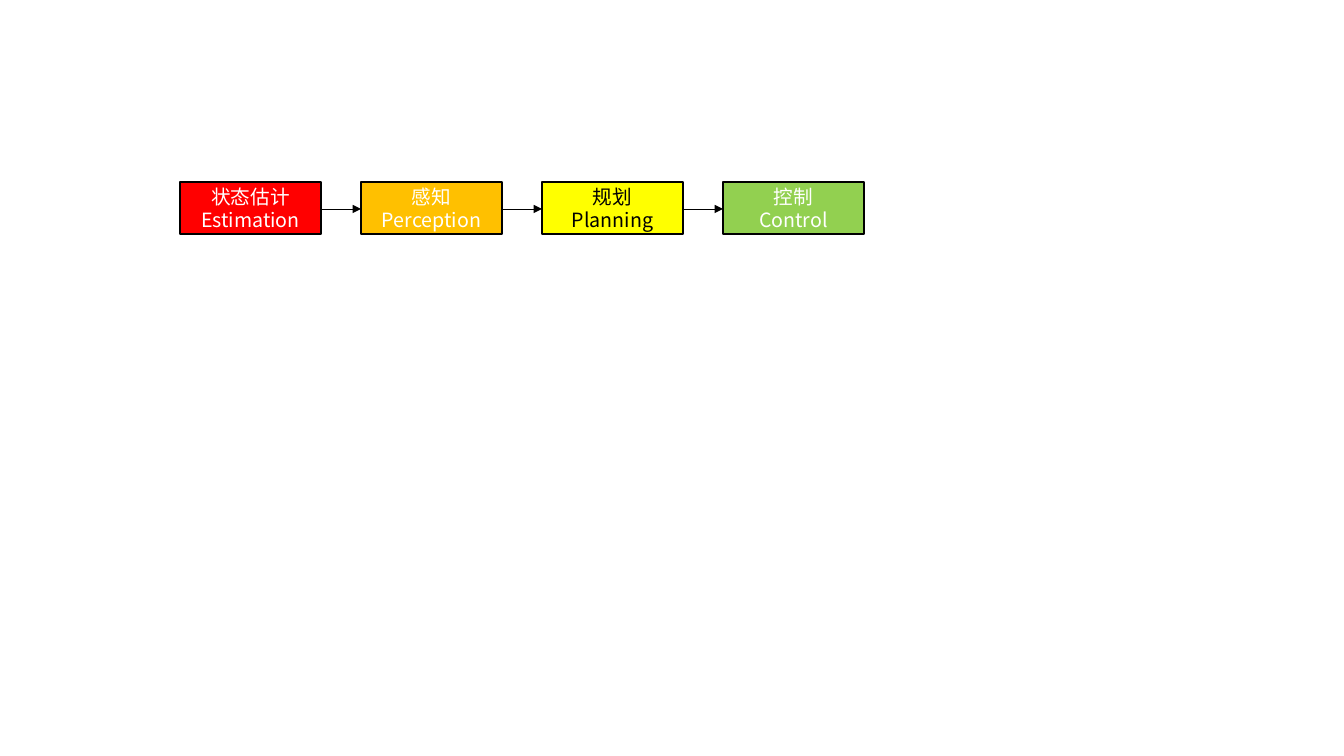
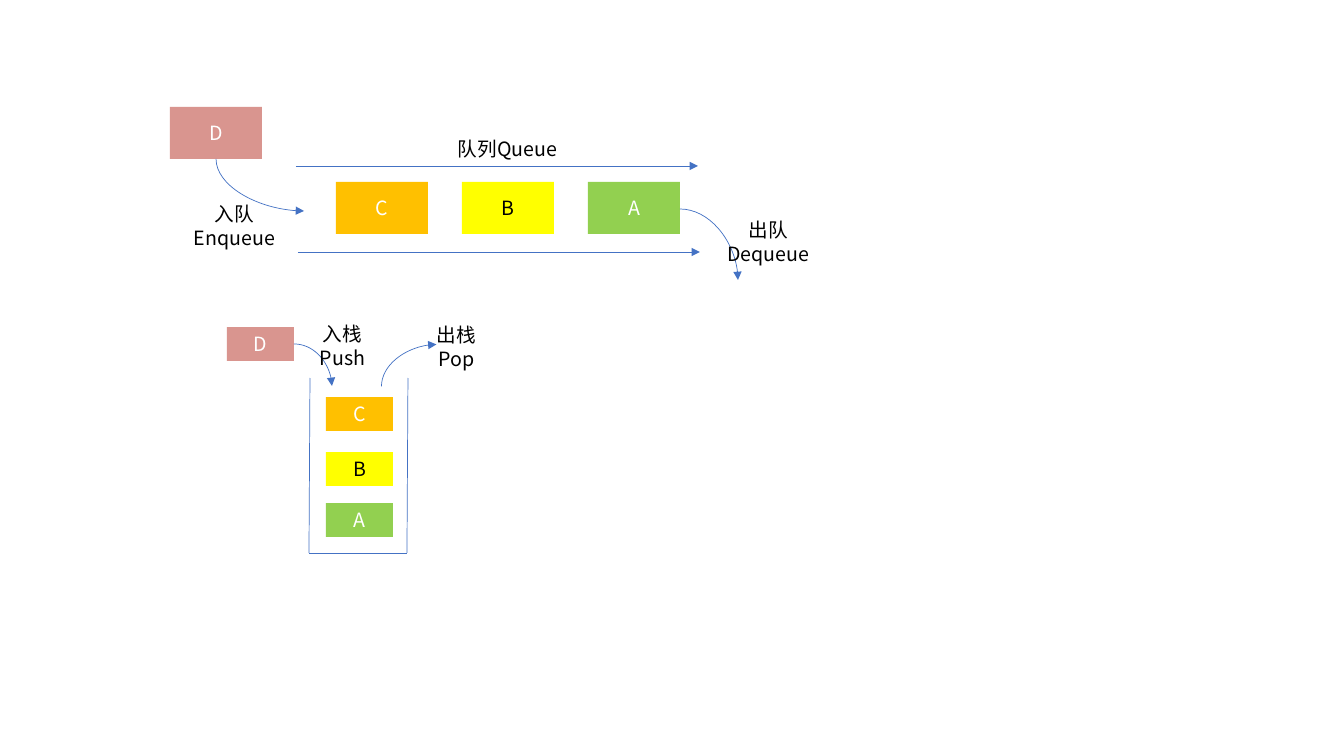
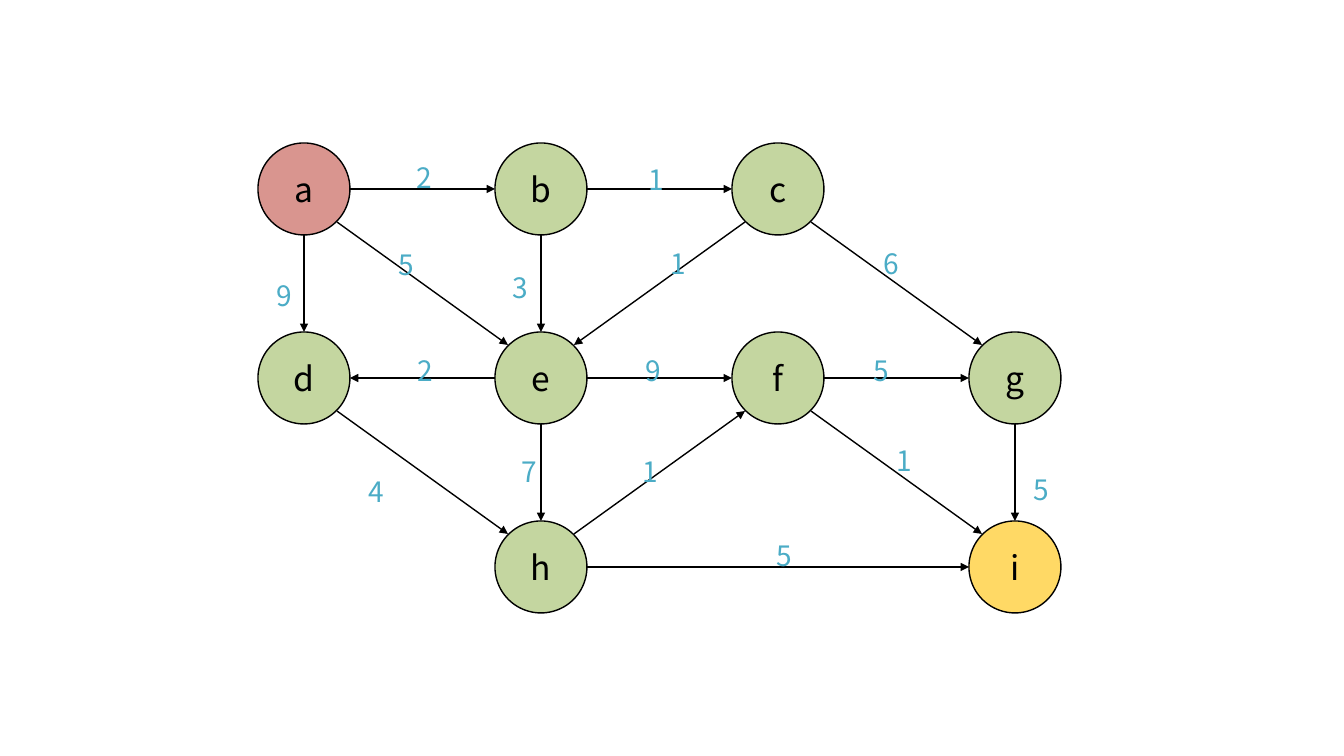
from math import cos, pi

from lxml.etree import SubElement
from pptx import Presentation
from pptx.dml.color import RGBColor
from pptx.enum.shapes import MSO_CONNECTOR, MSO_SHAPE
from pptx.enum.text import MSO_ANCHOR, MSO_AUTO_SIZE, PP_ALIGN
from pptx.oxml.ns import qn
from pptx.util import Emu, Pt

FONT = "Noto Sans CJK SC"
EMU_PER_PX = 914400 / 100.8
BLACK, WHITE = "000000", "FFFFFF"
RED, ORANGE, YELLOW, GREEN = "FF0000", "FFC000", "FFFF00", "92D050"
PINK, SAGE, GOLD = "D9958F", "C4D6A0", "FFD965"
BLUE, TEAL = "4472C4", "4BACC6"

ITEMS = {"A": (GREEN, WHITE), "B": (YELLOW, BLACK), "C": (ORANGE, WHITE), "D": (PINK, WHITE)}

STAGES = [
    ("状态估计\nEstimation", RED, WHITE),
    ("感知Perception", ORANGE, WHITE),
    ("规划\nPlanning", YELLOW, BLACK),
    ("控制\nControl", GREEN, WHITE),
]

NODE_SIZE = 92
NODE_CELLS = {
    "a": (0, 0), "b": (1, 0), "c": (2, 0),
    "d": (0, 1), "e": (1, 1), "f": (2, 1), "g": (3, 1),
    "h": (1, 2), "i": (3, 2),
}
NODE_FILLS = {"a": PINK, "i": GOLD}

EDGES = [
    ("a", "b", "2", 407, 156),
    ("a", "e", "5", 389, 243),
    ("a", "d", "9", 267, 274),
    ("b", "c", "1", 639, 158),
    ("b", "e", "3", 503, 266),
    ("c", "e", "1", 661, 242),
    ("c", "g", "6", 874, 242),
    ("d", "h", "4", 359, 470),
    ("e", "d", "2", 408, 349),
    ("e", "f", "9", 636, 349),
    ("e", "h", "7", 512, 450),
    ("f", "g", "5", 864, 349),
    ("f", "i", "1", 887, 439),
    ("g", "i", "5", 1024, 468),
    ("h", "f", "1", 633, 450),
    ("h", "i", "5", 767, 534),
]


def px(*lengths):
    """Turn pixel lengths into EMU."""
    return [Emu(round(length * EMU_PER_PX)) for length in lengths]


def color(hex_string):
    """Turn a hex string into a colour."""
    return RGBColor.from_string(hex_string)


def write_text(shape, text, size, text_color, align):
    """Fill a shape with text in the shared font."""
    frame = shape.text_frame
    frame.word_wrap = True
    frame.text = text
    for paragraph in frame.paragraphs:
        paragraph.alignment = align
        for run in paragraph.runs:
            run.font.size = Pt(size)
            run.font.color.rgb = color(text_color)
            run.font.name = FONT
            SubElement(run.font._element, qn("a:ea"), typeface=FONT)


def add_block(slide, text, box, fill, text_color, size=14, outline=None, kind=MSO_SHAPE.RECTANGLE):
    """Add a filled shape with centred text."""
    shape = slide.shapes.add_shape(kind, *px(*box))
    shape.shadow.inherit = False
    shape.fill.solid()
    shape.fill.fore_color.rgb = color(fill)
    if outline:
        shape.line.color.rgb = color(outline)
        shape.line.width = Pt(1)
    else:
        shape.line.fill.background()
    write_text(shape, text, size, text_color, PP_ALIGN.CENTER)
    shape.text_frame.vertical_anchor = MSO_ANCHOR.MIDDLE


def add_label(slide, text, box, size=14, text_color=BLACK, align=PP_ALIGN.CENTER):
    """Add a text box that grows with its text."""
    label = slide.shapes.add_textbox(*px(*box))
    write_text(label, text, size, text_color, align)
    label.text_frame.auto_size = MSO_AUTO_SIZE.SHAPE_TO_FIT_TEXT


def add_line(slide, begin, end, line_color, width=0.5, arrow=True, kind=MSO_CONNECTOR.STRAIGHT):
    """Add a connector, with an arrowhead at its end by default."""
    connector = slide.shapes.add_connector(kind, *px(*begin, *end))
    connector.line.color.rgb = color(line_color)
    connector.line.width = Pt(width)
    properties = connector._element.spPr
    if arrow:
        SubElement(properties.find(qn("a:ln")), qn("a:tailEnd"), type="triangle")
    SubElement(properties, qn("a:effectLst"))
    return connector


def add_curve(slide, begin, end, rotation=0):
    """Add a quarter-turn arrow, placed by its corners before rotation."""
    connector = add_line(slide, begin, end, BLUE, kind=MSO_CONNECTOR.CURVE)
    properties = connector._element.spPr
    properties.find(qn("a:prstGeom")).set("prst", "curvedConnector2")
    if rotation:
        properties.find(qn("a:xfrm")).set("rot", str(rotation * 60000))


def add_item(slide, name, box):
    """Add one queue or stack item in its own colours."""
    add_block(slide, name, box, *ITEMS[name])


def build_pipeline(slide):
    """Draw the four stages from estimation to control."""
    left, step, width = 180, 181, 141
    for index, (text, fill, text_color) in enumerate(STAGES):
        x = left + index * step
        if index:
            add_line(slide, (x - step + width, 209), (x, 209), BLACK)
        add_block(slide, text, (x, 182, width, 52), fill, text_color, outline=BLACK)


def build_queue(slide):
    """Draw the queue with its way in and way out."""
    add_item(slide, "D", (170, 107, 92, 52))
    for index, name in enumerate("CBA"):
        add_item(slide, name, (336 + index * 126, 182, 92, 52))
    add_curve(slide, (286, 141), (234, 229), 270)
    add_curve(slide, (680, 209), (738, 280))
    for left, y in ((296, 166), (298, 252)):
        add_line(slide, (left, y), (left + 402, y), BLUE)
    add_label(slide, "入队\nEnqueue", (164, 197, 141, 57))
    add_label(slide, "出队\nDequeue", (698, 213, 141, 57))
    add_label(slide, "队列Queue", (437, 132, 141, 34))


def build_stack(slide):
    """Draw the stack in its open container."""
    corners = [(310, 378), (309, 553), (407, 553), (408, 378)]
    for begin, end in zip(corners, corners[1:]):
        add_line(slide, begin, end, BLUE, arrow=False)
    for name, left, top in (("C", 326, 397), ("B", 326, 452), ("A", 326, 503), ("D", 227, 327)):
        add_item(slide, name, (left, top, 67, 34))
    add_curve(slide, (294, 344), (332, 386))
    add_curve(slide, (430, 393), (388, 338), 90)
    add_label(slide, "入栈\nPush", (272, 317, 141, 57))
    add_label(slide, "出栈\nPop", (423, 318, 67, 57))


def node_corner(name):
    """Return the left and top of a graph node."""
    column, row = NODE_CELLS[name]
    return 258 + column * 237, 143 + row * 189


def rim_point(name, toward):
    """Return the point on a node's rim that faces another node."""
    steps = [(b > a) - (b < a) for a, b in zip(NODE_CELLS[name], NODE_CELLS[toward])]
    radius = NODE_SIZE / 2
    reach = radius * cos(pi / 4) if all(steps) else radius
    return [round(corner + radius + step * reach) for corner, step in zip(node_corner(name), steps)]


def build_graph(slide):
    """Draw the weighted directed graph."""
    for name in NODE_CELLS:
        box = (*node_corner(name), NODE_SIZE, NODE_SIZE)
        fill = NODE_FILLS.get(name, SAGE)
        add_block(slide, name, box, fill, BLACK, 24, BLACK, MSO_SHAPE.OVAL)
    for start, goal, *_ in EDGES:
        add_line(slide, rim_point(start, goal), rim_point(goal, start), BLACK, 1)
    for _, _, weight, left, top in EDGES:
        add_label(slide, weight, (left, top, 44, 44), 20, TEAL, PP_ALIGN.LEFT)


def main():
    """Build the three slides and save them."""
    presentation = Presentation()
    presentation.slide_width, presentation.slide_height = px(1344, 756)
    for builders in ((build_pipeline,), (build_queue, build_stack), (build_graph,)):
        slide = presentation.slides.add_slide(presentation.slide_layouts[6])
        for build in builders:
            build(slide)
    presentation.save("out.pptx")


if __name__ == "__main__":
    main()
